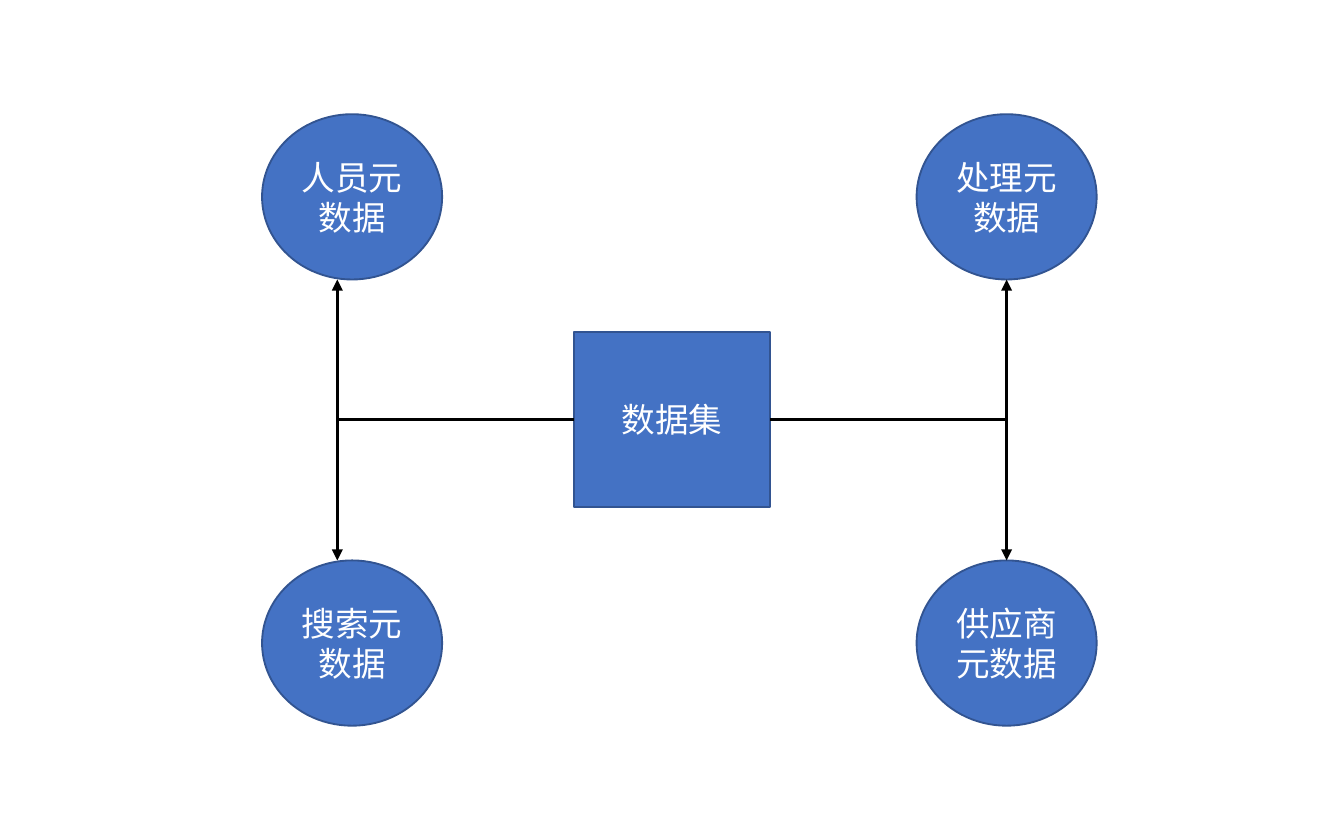
import pptx
import pptx.dml.color
import pptx.enum.dml
import pptx.enum.shapes
import pptx.enum.text
import pptx.oxml
import pptx.oxml.ns
import pptx.util
from pptx.util import Inches

COLORS = {"fill": "4472C4", "outline": "325491", "text": "FFFFFF", "arrow": "000000"}
FONT = {"name": "Calibri", "size": pptx.util.Pt(18)}
SHAPES = pptx.enum.shapes.MSO_SHAPE
DATASET_BOX = (4.27, 2.47, 1.46, 1.3)
NODE_SIZE = (1.34, 1.23)
ROWS = (0.85, 4.17)
# Node left edge, arrow x, side of the dataset it joins, labels from top to bottom
BRANCHES = (
    (1.95, 2.51, 1, ("人员元数据", "搜索元数据")),
    (6.82, 7.49, 3, ("处理元数据", "供应商元数据")),
)


def color(name):
    return pptx.dml.color.RGBColor.from_string(COLORS[name])


def add_node(page, kind, box, label):
    node = page.shapes.add_shape(kind, *map(Inches, box))
    node.shadow.inherit = False
    node.fill.solid()
    node.fill.fore_color.rgb = color("fill")
    node.line.color.rgb = color("outline")
    node.line.width = pptx.util.Pt(1)
    frame = node.text_frame
    frame.word_wrap = True
    frame.vertical_anchor = pptx.enum.text.MSO_ANCHOR.MIDDLE
    para = frame.paragraphs[0]
    para.alignment = pptx.enum.text.PP_ALIGN.CENTER
    span = para.add_run()
    span.text = label
    for name, value in FONT.items():
        setattr(span.font, name, value)
    span.font.color.rgb = color("text")
    return node


def add_line(page, start, end, arrows=False):
    """Draw a straight line, with a triangle at both ends if arrows is set."""
    line = page.shapes.add_connector(
        pptx.enum.shapes.MSO_CONNECTOR.STRAIGHT, *map(Inches, (*start, *end)))
    line.line.color.rgb = color("arrow")
    line.line.width = pptx.util.Pt(1.5)
    if arrows:
        outline = line.line._get_or_add_ln()
        for tag in ("a:headEnd", "a:tailEnd"):
            mark = pptx.oxml.parse_xml(f'<{tag} {pptx.oxml.ns.nsdecls("a")} type="triangle"/>')
            outline.append(mark)
    line._element.spPr.append(
        pptx.oxml.parse_xml(f'<a:effectLst {pptx.oxml.ns.nsdecls("a")}/>'))
    return line


def add_branch(page, dataset, left, arrow_x, side, labels):
    """Place two nodes, the arrow between them and its link to the dataset."""
    for top, label in zip(ROWS, labels):
        add_node(page, SHAPES.OVAL, (left, top, *NODE_SIZE), label)
    box_left, box_top, width, height = DATASET_BOX
    middle = box_top + height / 2
    edge = box_left if side == 1 else box_left + width
    link = add_line(page, (edge, middle), (arrow_x, middle))
    link.begin_connect(dataset, side)
    add_line(page, (arrow_x, ROWS[0] + NODE_SIZE[1]), (arrow_x, ROWS[1]), arrows=True)


def main():
    deck = pptx.Presentation()
    deck.slide_width, deck.slide_height = Inches(10), Inches(6.25)
    page = deck.slides.add_slide(deck.slide_layouts[6])
    dataset = add_node(page, SHAPES.RECTANGLE, DATASET_BOX, "数据集")
    for branch in BRANCHES:
        add_branch(page, dataset, *branch)
    deck.save("out.pptx")


if __name__ == "__main__":
    main()
